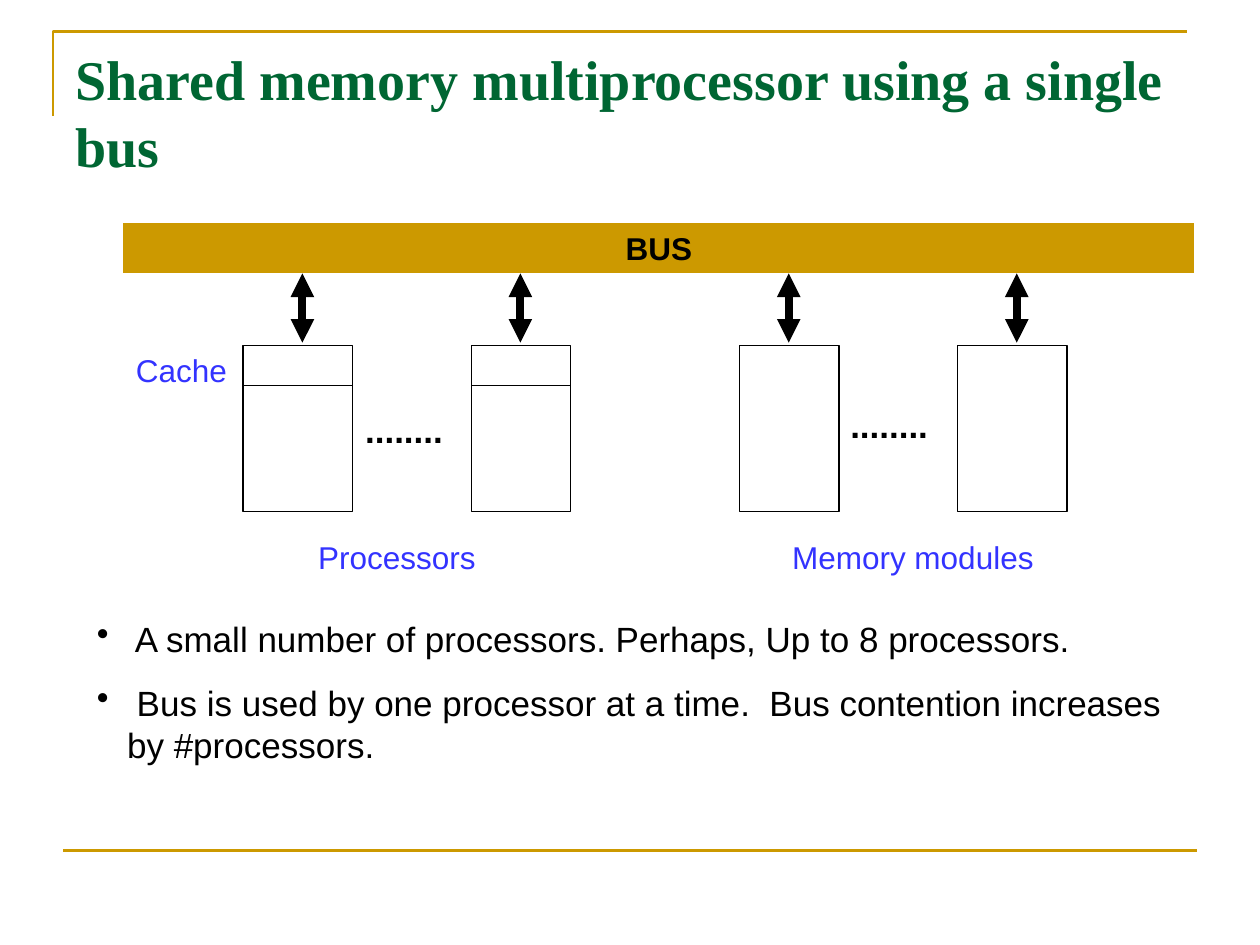
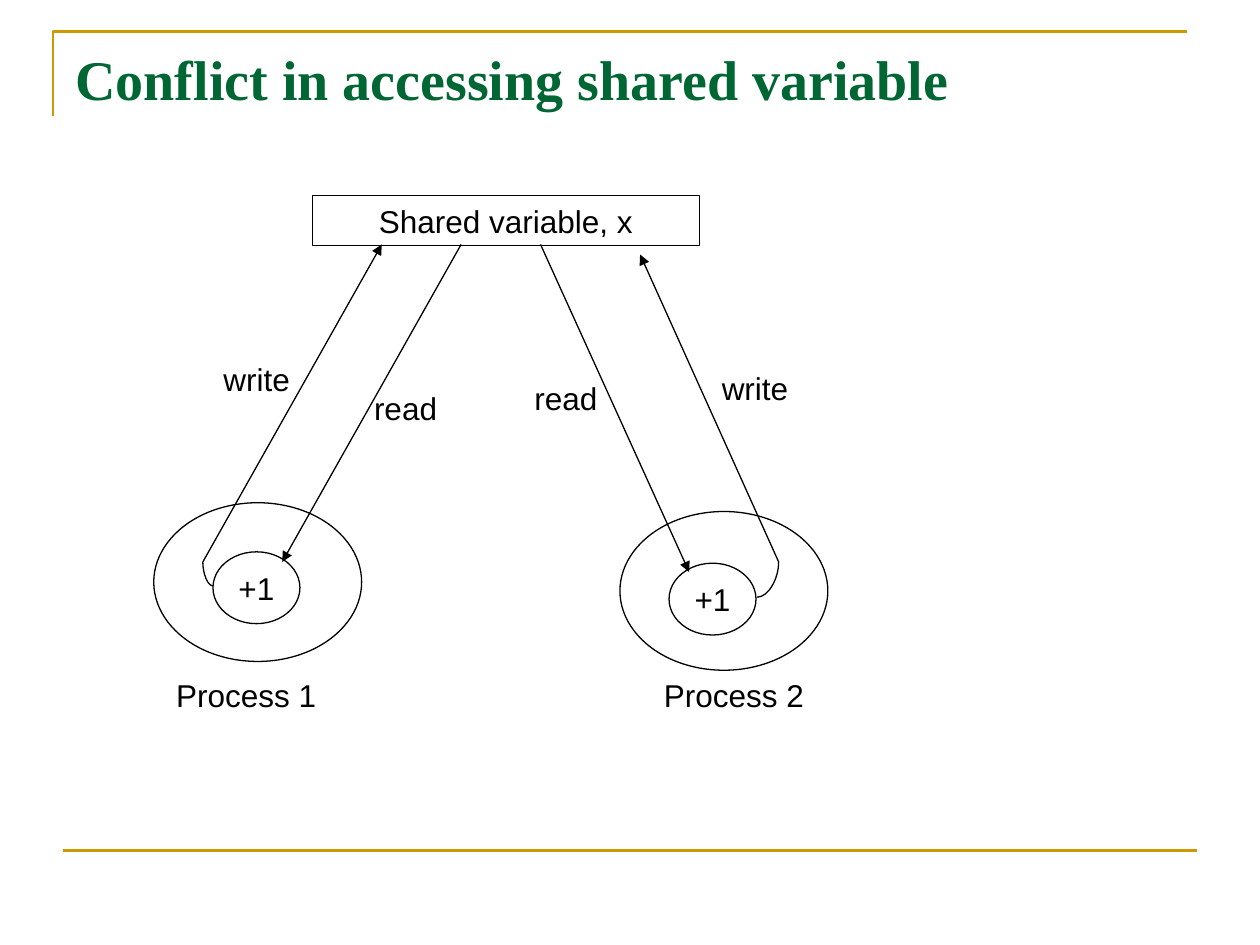
from lxml import etree
from pptx import Presentation
from pptx.dml.color import RGBColor
from pptx.enum.shapes import MSO_CONNECTOR, MSO_SHAPE
from pptx.enum.text import MSO_ANCHOR, PP_ALIGN
from pptx.oxml.ns import qn
from pptx.util import Inches, Pt

GOLD = RGBColor(0xCC, 0x99, 0x00)
GREEN = RGBColor(0x00, 0x66, 0x33)
BLUE = RGBColor(0x33, 0x33, 0xFF)
BLACK = RGBColor(0x00, 0x00, 0x00)

LEFT, CENTER, RIGHT = PP_ALIGN.LEFT, PP_ALIGN.CENTER, PP_ALIGN.RIGHT
TOP, MIDDLE = MSO_ANCHOR.TOP, MSO_ANCHOR.MIDDLE
STRAIGHT, CURVE = MSO_CONNECTOR.STRAIGHT, MSO_CONNECTOR.CURVE
RECTANGLE, OVAL = MSO_SHAPE.RECTANGLE, MSO_SHAPE.OVAL
PROCESS = MSO_SHAPE.FLOWCHART_PROCESS


def add_box(page, place, text="", kind=None, fill=None, size=18, color=BLACK,
            bold=False, name="Arial", align=LEFT):
    place = [Inches(length) for length in place]
    if kind is None:
        box = page.shapes.add_textbox(*place)
    else:
        box = page.shapes.add_shape(kind, *place)
        box.shadow.inherit = False
        if fill is None:
            box.fill.background()
            box.line.color.rgb = BLACK
            box.line.width = Pt(0.75)
        else:
            box.fill.solid()
            box.fill.fore_color.rgb = fill
            box.line.fill.background()
    frame = box.text_frame
    frame.word_wrap = kind != OVAL
    frame.vertical_anchor = TOP if kind is None else MIDDLE
    frame.text = text
    for para in frame.paragraphs:
        para.alignment = align
        para.font.name = name
        para.font.size = Pt(size)
        para.font.bold = bold
        para.font.color.rgb = color
    return box


def add_line(page, start, end, color=BLACK, width=0.75, arrows=(), kind=STRAIGHT):
    line = page.shapes.add_connector(kind, *[Inches(value) for value in (*start, *end)])
    line.line.color.rgb = color
    line.line.width = Pt(width)
    properties = line._element.spPr
    for arrow in arrows:
        etree.SubElement(properties.find(qn("a:ln")), qn(arrow), type="triangle")
    etree.SubElement(properties, qn("a:effectLst"))
    if kind == CURVE:
        properties.find(qn("a:prstGeom")).set("prst", "curvedConnector2")


deck = Presentation()
deck.slide_width = Inches(10)
deck.slide_height = Inches(7.5)

pages = []
for title in ("Shared memory multiprocessor using a single bus",
              "Conflict in accessing shared variable"):
    page = deck.slides.add_slide(deck.slide_layouts[6])
    builder = page.shapes.build_freeform(Inches(0.42), Inches(0.92))
    builder.add_line_segments([(Inches(0.42), Inches(0.25)),
                               (Inches(9.42), Inches(0.25))], close=False)
    corner = builder.convert_to_shape()
    corner.shadow.inherit = False
    corner.fill.background()
    corner.line.color.rgb = GOLD
    corner.line.width = Pt(1.5)
    add_line(page, (0.5, 6.75), (9.5, 6.75), GOLD, 1.5)
    add_box(page, (0.5, 0.3, 9, 1.25), title, size=32, color=GREEN, bold=True,
            name="Times New Roman")
    pages.append(page)
bus_page, conflict_page = pages

add_box(bus_page, (0.98, 1.77, 8.5, 0.4), "BUS", PROCESS, GOLD, bold=True, align=CENTER)
for left, width, arrow_x, has_cache in ((1.93, 0.87, 2.4, True), (3.74, 0.79, 4.13, True),
                                        (5.87, 0.79, 6.26, False), (7.6, 0.87, 8.07, False)):
    add_box(bus_page, (left, 2.74, width, 1.32), kind=RECTANGLE)
    if has_cache:
        add_line(bus_page, (left, 3.06), (left + width, 3.06))
    add_line(bus_page, (arrow_x, 2.72), (arrow_x, 2.17), width=4.5,
             arrows=("a:headEnd", "a:tailEnd"))

for place, label, align in (((0.98, 2.74, 0.94, 0.4), "Cache", LEFT),
                            ((2.01, 4.22, 2.28, 0.4), "Processors", CENTER),
                            ((5.79, 4.22, 2.91, 0.4), "Memory modules", CENTER)):
    add_box(bus_page, place, label, color=BLUE, align=align)
for left, top in ((2.8, 3.19), (6.65, 3.15)):
    add_box(bus_page, (left, top, 0.87, 0.44), "........", size=20, bold=True)

notes = add_box(
    bus_page, (0.67, 4.85, 8.66, 1.28),
    " A small number of processors. Perhaps, Up to 8 processors.\n"
    " Bus is used by one processor at a time.  Bus contention increases by #processors.",
    size=20)
for para in notes.text_frame.paragraphs:
    settings = para._p.get_or_add_pPr()
    settings.set("marL", str(Inches(0.24)))
    settings.set("indent", str(Inches(-0.24)))
    bullet = etree.Element(qn("a:buChar"), char="•")
    settings.find(qn("a:defRPr")).addprevious(bullet)
notes.text_frame.paragraphs[1].space_before = Pt(12.5)

add_box(conflict_page, (2.48, 1.55, 3.07, 0.4), "Shared variable, x", RECTANGLE, align=CENTER)
for left, top in ((1.22, 3.99), (4.92, 4.06)):
    add_box(conflict_page, (left, top, 1.65, 1.26), kind=OVAL)
for left, top in ((1.69, 4.38), (5.31, 4.47)):
    add_box(conflict_page, (left, top, 0.69, 0.57), "+1", OVAL, align=CENTER)

for start, end in (((3.66, 1.94), (2.24, 4.46)), ((1.61, 4.46), (3.03, 1.94)),
                   ((4.29, 1.94), (5.47, 4.54)), ((6.18, 4.46), (5.08, 2.02))):
    add_line(conflict_page, start, end, arrows=("a:tailEnd",))
for start, end in (((1.69, 4.65), (1.61, 4.46)), ((6.01, 4.74), (6.18, 4.46))):
    add_line(conflict_page, start, end, kind=CURVE)

for place, label, align in (((2.87, 3.04, 0.79, 0.4), "read", LEFT),
                            ((3.9, 2.96, 0.94, 0.4), "read", RIGHT),
                            ((5.63, 2.88, 1.02, 0.4), "write", LEFT),
                            ((1.14, 2.81, 1.26, 0.4), "write", RIGHT),
                            ((1.3, 5.32, 1.57, 0.4), "Process 1", LEFT),
                            ((5, 5.32, 1.65, 0.4), "Process 2", CENTER)):
    add_box(conflict_page, place, label, align=align)

deck.save("out.pptx")
